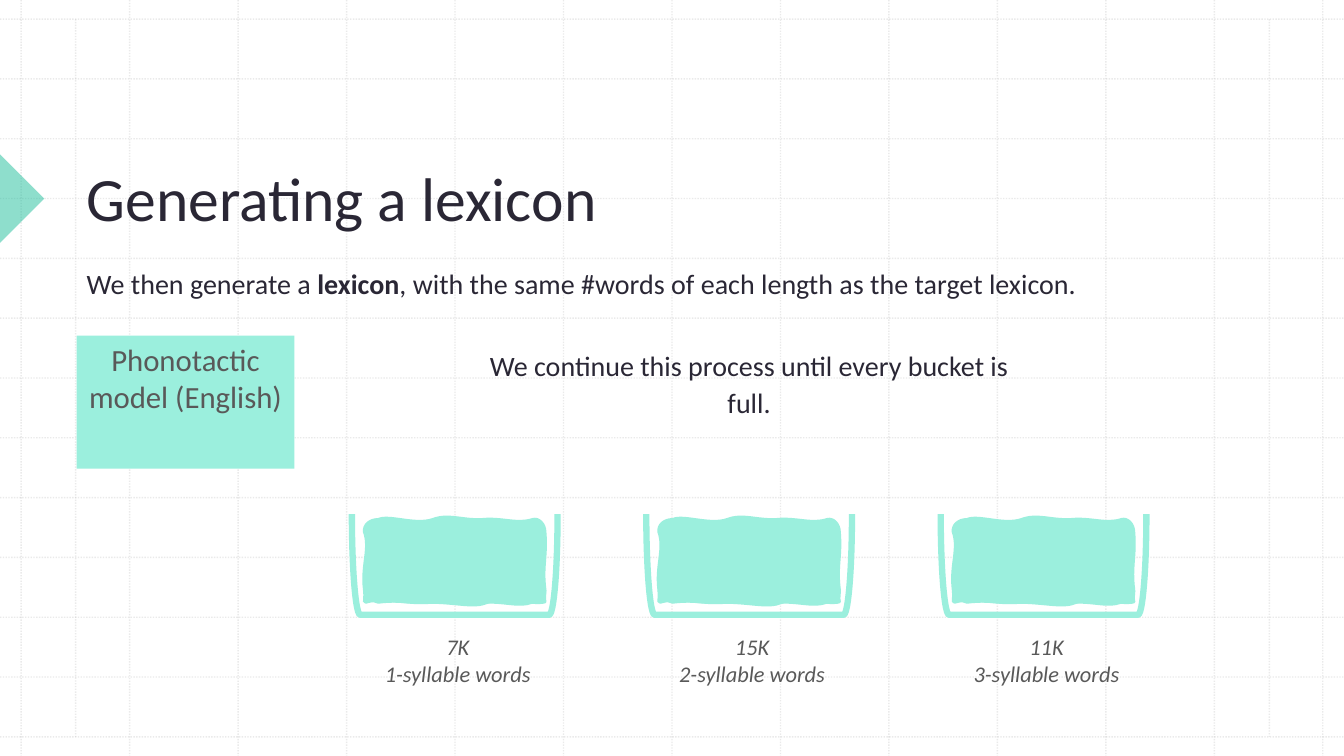
from dataclasses import dataclass

from lxml import etree
from pptx import Presentation, util as u
from pptx.dml.color import RGBColor
from pptx.enum import dml, shapes, text
from pptx.oxml import ns

COLORS = {
    "grid": "BCBCBC",
    "accent": "1EBE9B",
    "mint": "9BEFDD",
    "ink": "2A2735",
    "grey": "595959",
}
FONT = "Calibri"
SLIDE_WIDTH, SLIDE_HEIGHT = 13.33, 7.5
GRID_CELLS = 12
GRID_LEFT, GRID_RIGHT = 0.21, 13.12
GRID_TOP, GRID_BOTTOM = 0.19, 7.31
MARGIN_LINES = (0.75, 12.59)
FIRST_BUCKET, BUCKET_STEP = 3.6, 2.92
WATER_TOP, SEDIMENT_TOP = 5.14, 5.84
FIRST_LAYOUT_ID = 100

Point = tuple[float, float]

# Start point, then two control points and an end point for every curve.
WATER = [
    (0, 0.14),
    (-0.01, 0.06), (0.06, 0), (0.15, 0),
    (0.26, -0.05), (0.52, 0.06), (0.69, 0),
    (0.85, -0.06), (0.98, 0.01), (1.18, 0),
    (1.38, -0.02), (1.53, 0.05), (1.68, 0),
    (1.75, -0.02), (1.82, 0.05), (1.82, 0.14),
    (1.84, 0.38), (1.79, 0.48), (1.82, 0.71),
    (1.82, 0.78), (1.75, 0.86), (1.68, 0.85),
    (1.55, 0.9), (1.41, 0.84), (1.2, 0.85),
    (0.99, 0.87), (0.94, 0.83), (0.69, 0.85),
    (0.43, 0.87), (0.41, 0.82), (0.15, 0.85),
    (0.08, 0.84), (0.02, 0.78), (0, 0.71),
    (-0.03, 0.47), (0.06, 0.3), (0, 0.14),
]
SEDIMENT = [
    (0, 0.02),
    (0, 0.01), (0.01, 0), (0.03, 0),
    (0.22, -0.04), (0.45, 0.05), (0.65, 0),
    (0.85, -0.06), (1.1, 0.02), (1.22, 0),
    (1.35, -0.03), (1.56, 0.06), (1.79, 0),
    (1.81, 0), (1.82, 0.01), (1.82, 0.02),
    (1.82, 0.06), (1.81, 0.09), (1.82, 0.13),
    (1.82, 0.14), (1.81, 0.15), (1.79, 0.15),
    (1.64, 0.17), (1.38, 0.09), (1.24, 0.15),
    (1.1, 0.21), (0.93, 0.15), (0.65, 0.15),
    (0.37, 0.16), (0.19, 0.1), (0.03, 0.15),
    (0.02, 0.15), (0.01, 0.14), (0, 0.13),
    (0, 0.07), (0.01, 0.05), (0, 0.02),
]


@dataclass
class Span:
    words: str
    size: float
    color: str
    bold: bool = False
    italic: bool = False


@dataclass
class Bucket:
    count: str
    label: str


BUCKETS = [
    Bucket("7K", "1-syllable words"),
    Bucket("15K", "2-syllable words"),
    Bucket("11K", "3-syllable words"),
]


def rgb(name: str) -> RGBColor:
    return RGBColor.from_string(COLORS[name])


def set_alpha(fill, percent: int) -> None:
    color = fill._xPr.find(".//" + ns.qn("a:srgbClr"))
    etree.SubElement(color, ns.qn("a:alpha"), val=str(percent * 1000))


def place(shape, left: float, top: float, width: float, height: float) -> None:
    shape.left, shape.top = u.Inches(left), u.Inches(top)
    shape.width, shape.height = u.Inches(width), u.Inches(height)


def add_spans(para, spans: list[Span], align=text.PP_ALIGN.CENTER) -> None:
    para.alignment = align
    for item in spans:
        span = para.add_run()
        span.text = item.words
        font = span.font
        font.name, font.size = FONT, u.Pt(item.size)
        font.bold, font.italic = item.bold, item.italic
        font.color.rgb = rgb(item.color)


def prepare_frame(frame, anchor=text.MSO_ANCHOR.TOP) -> None:
    frame.word_wrap = True
    frame.auto_size = text.MSO_AUTO_SIZE.NONE
    frame.vertical_anchor = anchor


def add_box(page, left: float, top: float, width: float, height: float):
    box = page.shapes.add_textbox(*map(u.Inches, (left, top, width, height)))
    prepare_frame(box.text_frame)
    return box


def paint(shape, color: str) -> None:
    shape.shadow.inherit = False
    shape.fill.solid()
    shape.fill.fore_color.rgb = rgb(color)
    shape.line.fill.background()


def add_filled(page, kind, left: float, top: float, width: float, height: float, color: str):
    shape = page.shapes.add_shape(kind, *map(u.Inches, (left, top, width, height)))
    paint(shape, color)
    return shape


def add_grid_line(page, x1: float, y1: float, x2: float, y2: float):
    line = page.shapes.add_connector(
        shapes.MSO_CONNECTOR.STRAIGHT, *map(u.Inches, (x1, y1, x2, y2)))
    line.line.color.rgb = rgb("grid")
    line.line.width = u.Pt(1)
    line.line.dash_style = dml.MSO_LINE.ROUND_DOT
    set_alpha(line.line.fill, 30)
    etree.SubElement(line._element.spPr, ns.qn("a:effectLst"))
    return line


def draw_background(page) -> None:
    """Draw the grid and the marker, then hand them to the slide layout."""
    parts = []
    for i in range(GRID_CELLS + 1):
        x = GRID_LEFT + i * (GRID_RIGHT - GRID_LEFT) / GRID_CELLS
        y = GRID_TOP + i * (GRID_BOTTOM - GRID_TOP) / GRID_CELLS
        parts.append(add_grid_line(page, x, 0, x, SLIDE_HEIGHT))
        parts.append(add_grid_line(page, 0, y, SLIDE_WIDTH, y))
    for x in MARGIN_LINES:
        parts.append(add_grid_line(page, x, GRID_TOP, x, GRID_BOTTOM))
    marker = add_filled(page, shapes.MSO_SHAPE.RIGHT_TRIANGLE, -0.31, 1.66, 0.62, 0.62, "accent")
    marker.rotation = 225
    set_alpha(marker.fill, 50)
    parts.append(marker)
    for number, part in enumerate(parts, FIRST_LAYOUT_ID):
        part.element.find(".//" + ns.qn("p:cNvPr")).set("id", str(number))
        page.slide_layout.shapes.element.append(part.element)


def add_blob(page, curves: list[Point], left: float, top: float) -> None:
    """Build the outline, then join each three segments into one cubic curve."""
    points = [(u.Inches(left + x), u.Inches(top + y)) for x, y in curves]
    builder = page.shapes.build_freeform(*points[0])
    builder.add_line_segments(points[1:], close=True)
    blob = builder.convert_to_shape()
    segments = list(blob.element.iter(ns.qn("a:lnTo")))
    for i in range(0, len(curves) - 1, 3):
        curve = etree.Element(ns.qn("a:cubicBezTo"))
        segments[i].addprevious(curve)
        for segment in segments[i:i + 3]:
            curve.append(segment[0])
            segment.getparent().remove(segment)
    paint(blob, "mint")


def draw_bucket(page, bucket: Bucket, left: float) -> None:
    wall = add_filled(
        page, shapes.MSO_SHAPE.RIGHT_BRACKET, left + 0.41, 4.58, 1, 2.04, "mint")
    wall.fill.background()
    wall.rotation = 90
    wall.line.color.rgb = rgb("mint")
    wall.line.width = u.Pt(4.5)
    add_blob(page, SEDIMENT, left, SEDIMENT_TOP)
    add_blob(page, WATER, left, WATER_TOP)
    frame = add_box(page, left + 0.09, 6.23, 1.7, 0.99).text_frame
    add_spans(frame.paragraphs[0], [Span(bucket.count, 16, "grey", italic=True)])
    add_spans(frame.add_paragraph(), [Span(bucket.label, 16, "grey", italic=True)])


def fill_placeholders(page) -> None:
    title, body = page.shapes.title, page.placeholders[1]
    place(title, 0.76, 0.79, 11.29, 1.58)
    prepare_frame(title.text_frame, text.MSO_ANCHOR.BOTTOM)
    add_spans(title.text_frame.paragraphs[0],
              [Span("Generating a lexicon", 44, "ink")], text.PP_ALIGN.LEFT)

    place(body, 0.76, 2.56, 11.29, 0.78)
    prepare_frame(body.text_frame)
    para = body.text_frame.paragraphs[0]
    settings = para._p.get_or_add_pPr()
    settings.set("marL", "0")
    settings.set("indent", "0")
    etree.SubElement(settings, ns.qn("a:buNone"))
    para.line_spacing, para.space_before = 1.1, u.Pt(0)
    add_spans(para, [
        Span("We then generate a ", 20, "ink"),
        Span("lexicon", 20, "ink", bold=True),
        Span(", with the same #words of each length as the target lexicon.", 20, "ink"),
    ], text.PP_ALIGN.LEFT)


def main() -> None:
    deck = Presentation()
    deck.slide_width, deck.slide_height = u.Inches(SLIDE_WIDTH), u.Inches(SLIDE_HEIGHT)
    page = deck.slides.add_slide(deck.slide_layouts[1])
    draw_background(page)
    fill_placeholders(page)
    model = add_filled(page, shapes.MSO_SHAPE.RECTANGLE, 0.76, 3.33, 2.16, 1.32, "mint")
    prepare_frame(model.text_frame)
    add_spans(model.text_frame.paragraphs[0], [Span("Phonotactic model (English)", 22, "grey")])
    for i, bucket in enumerate(BUCKETS):
        draw_bucket(page, bucket, FIRST_BUCKET + i * BUCKET_STEP)
    para = add_box(page, 4.71, 3.38, 5.44, 1).text_frame.paragraphs[0]
    para.line_spacing = 1.1
    add_spans(para, [Span("We continue this process until every bucket is full.", 20, "ink")])
    deck.save("out.pptx")


if __name__ == "__main__":
    main()
